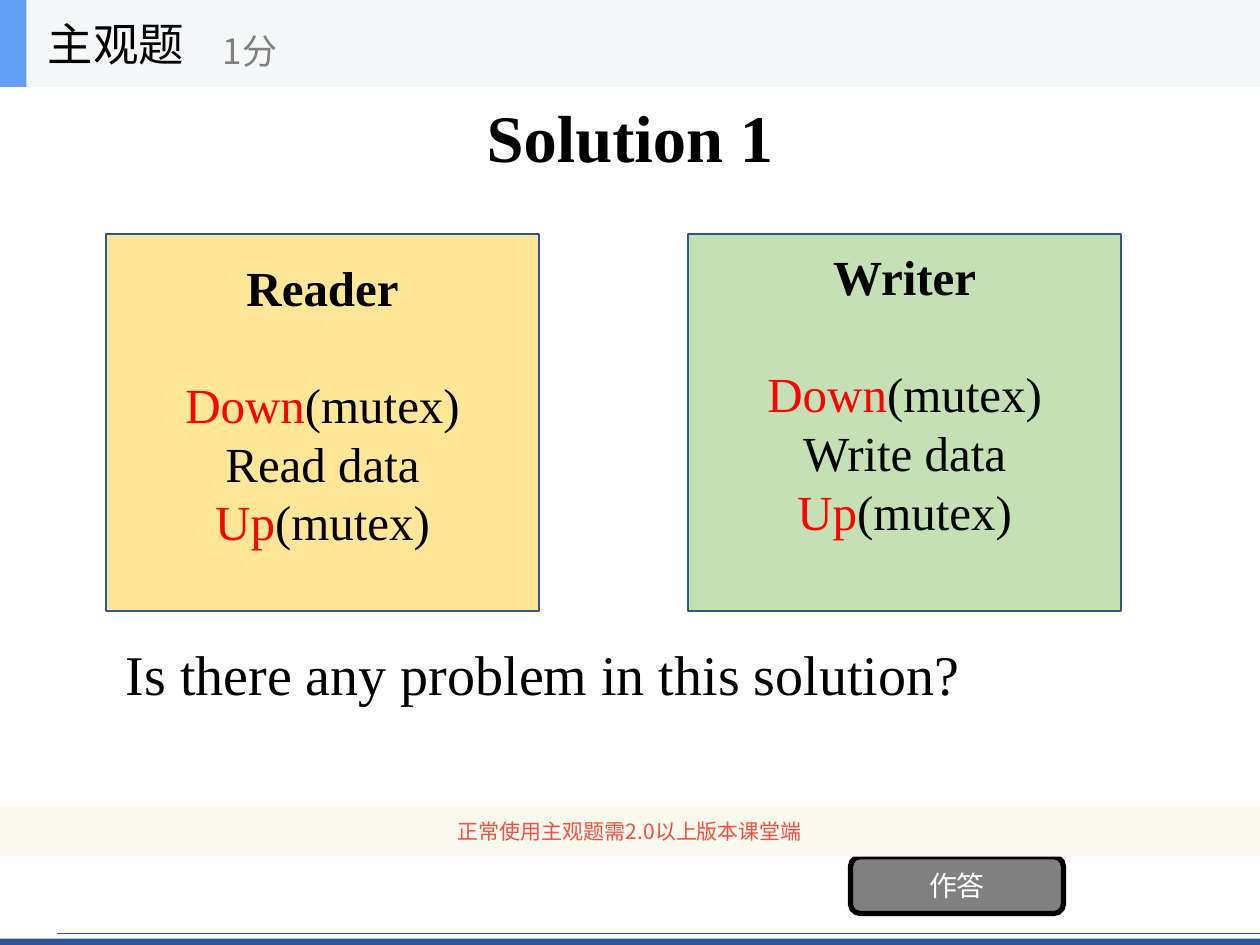
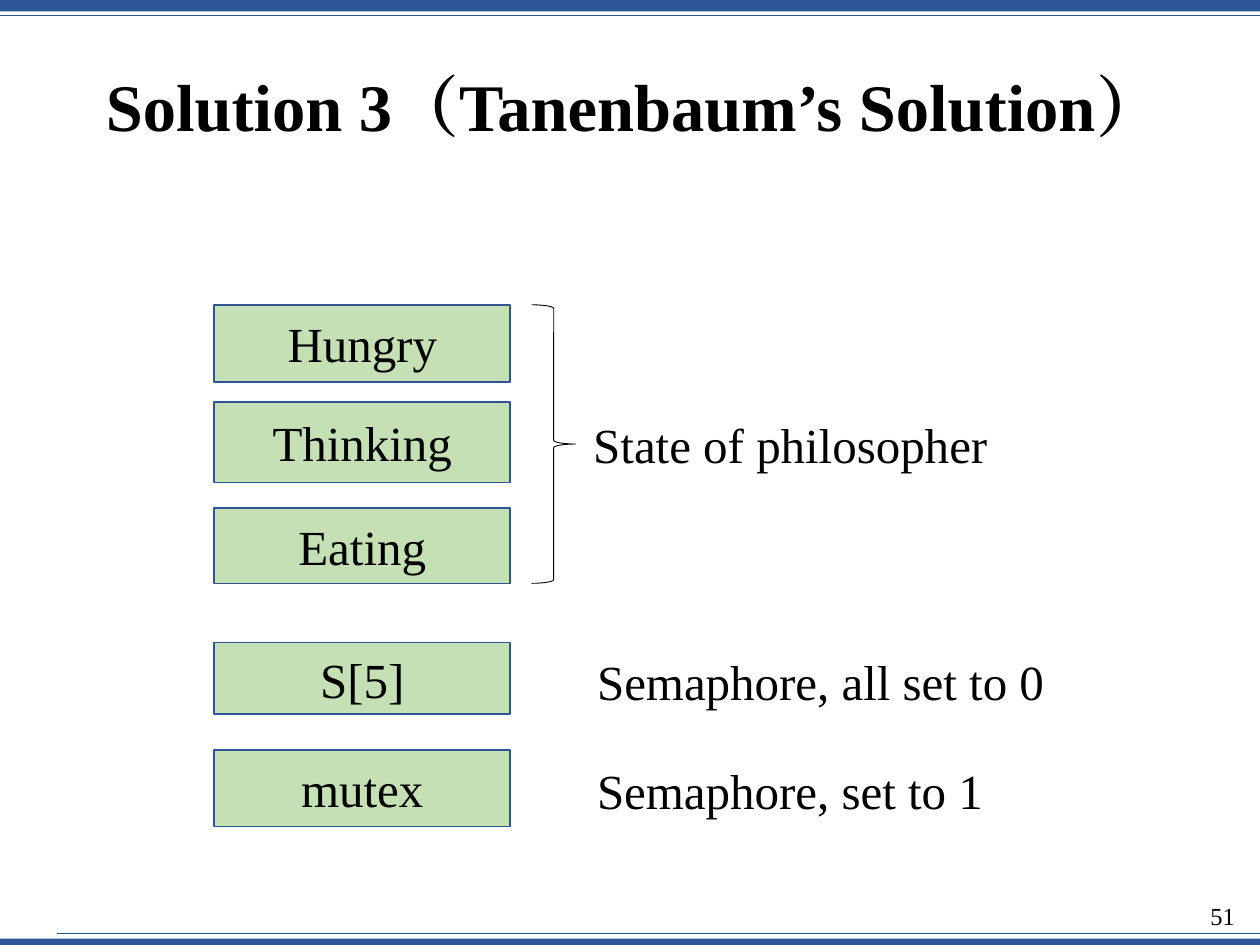
from lxml.etree import SubElement
from pptx import Presentation
from pptx.dml.color import RGBColor
from pptx.enum.shapes import MSO_CONNECTOR, MSO_SHAPE
from pptx.enum.text import MSO_ANCHOR, PP_ALIGN
from pptx.oxml.ns import qn
from pptx.util import Pt

WIDTH, HEIGHT = 720, 540
COLORS = {
    "band": "2F5597", "outline": "325491", "black": "000000", "white": "FFFFFF",
    "green": "C5E0B4", "yellow": "FFE699", "red": "FF0000", "gray": "808080",
    "header": "F6F7F8", "accent": "639EF4", "notice": "FBFAEF", "warning": "F84F41",
}
SERIF, SANS = "Times New Roman", "Noto Sans CJK SC"
TITLE = {"size": Pt(38), "bold": True, "name": SERIF}
BODY = {"size": Pt(28), "bold": False, "name": SERIF}
HEADING = BODY | {"bold": True}
QUESTION = BODY | {"size": Pt(32)}
NUMBER = BODY | {"size": Pt(14)}
KIND = {"size": Pt(26), "name": SANS}
SCORE = {"size": Pt(20), "name": SANS}
ANSWER = {"size": Pt(16), "name": SANS}
NOTICE = {"size": Pt(12), "name": SANS}
LINE_PITCH = 33.5

# Slide 1: heading, middle step, left edge, fill, room below the steps
PROCESSES = [
    ("Writer", "Write data", 393.1, "green", 37),
    ("Reader", "Read data", 60.5, "yellow", 25),
]
PROCESS_TOP, PROCESS_WIDTH, PROCESS_HEIGHT = 133.9, 247.7, 215.3

# Slide 2: label, top, height
STATES = [("Hungry", 174.2, 44), ("Thinking", 229.7, 46), ("Eating", 290.2, 43.2)]
SEMAPHORES = [("S[5]", 367.2, 41), ("mutex", 428.4, 44)]
LABEL_LEFT, LABEL_WIDTH = 122.4, 169.2
# text, left, top, width
MEANINGS = [
    ("State of philosopher", 331.9, 233.3, 289.4),
    ("Semaphore, all set to 0", 334.1, 368.6, 339.8),
    ("Semaphore, set to 1", 334.1, 431.3, 319.7),
]


def rgb(color):
    return RGBColor.from_string(COLORS[color])


def write(paragraph, text, style, color="black", align=PP_ALIGN.LEFT):
    paragraph.alignment = align
    run = paragraph.add_run()
    run.text = text
    for attribute, value in style.items():
        setattr(run.font, attribute, value)
    run.font.color.rgb = rgb(color)
    SubElement(run.font._element, qn("a:ea"), typeface=style["name"])


def add_block(slide, box, fill, outline=None, weight=1, kind=MSO_SHAPE.RECTANGLE):
    block = slide.shapes.add_shape(kind, *map(Pt, box))
    block.shadow.inherit = False
    if fill:
        block.fill.solid()
        block.fill.fore_color.rgb = rgb(fill)
    else:
        block.fill.background()
    if outline:
        block.line.color.rgb = rgb(outline)
        block.line.width = Pt(weight)
    else:
        block.line.fill.background()
    return block


def add_caption(slide, box, text, style, color="black", align=PP_ALIGN.LEFT,
                anchor=MSO_ANCHOR.MIDDLE):
    frame = slide.shapes.add_textbox(*map(Pt, box)).text_frame
    frame.word_wrap = True
    frame.vertical_anchor = anchor
    write(frame.paragraphs[0], text, style, color, align)


def add_edge(slide, band_top, band_height, rule_left, rule_y):
    """Draw a blue band along a slide edge with a thin rule beside it."""
    add_block(slide, (0, band_top, WIDTH, band_height), "band")
    rule = slide.shapes.add_connector(
        MSO_CONNECTOR.STRAIGHT, Pt(rule_left), Pt(rule_y), Pt(WIDTH), Pt(rule_y))
    rule.line.color.rgb = rgb("band")
    rule.line.width = Pt(0.5)
    SubElement(rule._element.spPr, qn("a:effectLst"))


def new_slide(deck, title, box, align):
    slide = deck.slides.add_slide(deck.slide_layouts[5])
    add_edge(slide, 536.4, 3.6, 32.4, 533.5)
    heading = slide.shapes.title
    heading.left, heading.top, heading.width, heading.height = map(Pt, box)
    frame = heading.text_frame
    frame.word_wrap = True
    frame.vertical_anchor = MSO_ANCHOR.MIDDLE
    frame.paragraphs[0].line_spacing = 0.9
    write(frame.paragraphs[0], title, TITLE, align=align)
    return slide


def add_process(slide, heading, step, left, fill, room_below):
    box = (left, PROCESS_TOP, PROCESS_WIDTH, PROCESS_HEIGHT)
    frame = add_block(slide, box, fill, "outline").text_frame
    frame.vertical_anchor = MSO_ANCHOR.MIDDLE
    frame.margin_bottom = Pt(room_below)
    lines = [
        [(heading, HEADING, "black")],
        [("Down", BODY, "red"), ("(mutex)", BODY, "black")],
        [(step, BODY, "black")],
        [("Up", BODY, "red"), ("(mutex)", BODY, "black")],
    ]
    for index, line in enumerate(lines):
        paragraph = frame.add_paragraph() if index else frame.paragraphs[0]
        paragraph.line_spacing = Pt(LINE_PITCH)
        for text, style, color in line:
            write(paragraph, text, style, color, PP_ALIGN.CENTER)
    frame.paragraphs[0].space_after = Pt(LINE_PITCH)


def build_question(deck):
    slide = new_slide(deck, "Solution 1", (54, 49.7, 612, 61.9), PP_ALIGN.CENTER)
    add_caption(slide, (64.8, 300.2, 576, 168.5),
                "Is there any problem in this solution?", QUESTION)
    answer = add_block(slide, (486, 489.6, 121.7, 32.4), "gray", "black", 3,
                       MSO_SHAPE.ROUNDED_RECTANGLE)
    write(answer.text_frame.paragraphs[0], "作答", ANSWER, "white", PP_ALIGN.CENTER)
    notice = add_block(slide, (0, 460.8, WIDTH, 28.8), "notice")
    write(notice.text_frame.paragraphs[0], "正常使用主观题需2.0以上版本课堂端",
          NOTICE, "warning", PP_ALIGN.CENTER)
    for process in PROCESSES:
        add_process(slide, *process)
    add_block(slide, (0, 0, WIDTH, 49.7), "header")
    add_block(slide, (0, 0, 15.1, 49.7), "accent")
    add_caption(slide, (20.2, 0, 149.8, 49.7), "主观题", KIND)
    add_caption(slide, (120.2, 8.6, 180, 40.3), "1分", SCORE, "gray")


def build_variables(deck):
    slide = new_slide(deck, "Solution 3（Tanenbaum’s Solution）",
                      (53.3, 10.8, 621.4, 104.4), PP_ALIGN.LEFT)
    add_edge(slide, 0, 6.5, 0, 8.6)
    add_caption(slide, (673.9, 511.2, 38.9, 28.8), "51", NUMBER,
                align=PP_ALIGN.RIGHT, anchor=MSO_ANCHOR.TOP)
    for label, top, height in STATES + SEMAPHORES:
        block = add_block(slide, (LABEL_LEFT, top, LABEL_WIDTH, height), "green", "outline")
        write(block.text_frame.paragraphs[0], label, BODY, align=PP_ALIGN.CENTER)
    first_top = STATES[0][1]
    last_bottom = STATES[-1][1] + STATES[-1][2]
    add_block(slide, (LABEL_LEFT + LABEL_WIDTH + 12.2, first_top, 25.2, last_bottom - first_top),
              None, "black", 0.5, MSO_SHAPE.RIGHT_BRACE)
    for text, left, top, width in MEANINGS:
        add_caption(slide, (left, top, width, 41), text, BODY, anchor=MSO_ANCHOR.TOP)


def main():
    deck = Presentation()
    deck.slide_width, deck.slide_height = Pt(WIDTH), Pt(HEIGHT)
    build_question(deck)
    build_variables(deck)
    deck.save("out.pptx")


if __name__ == "__main__":
    main()
